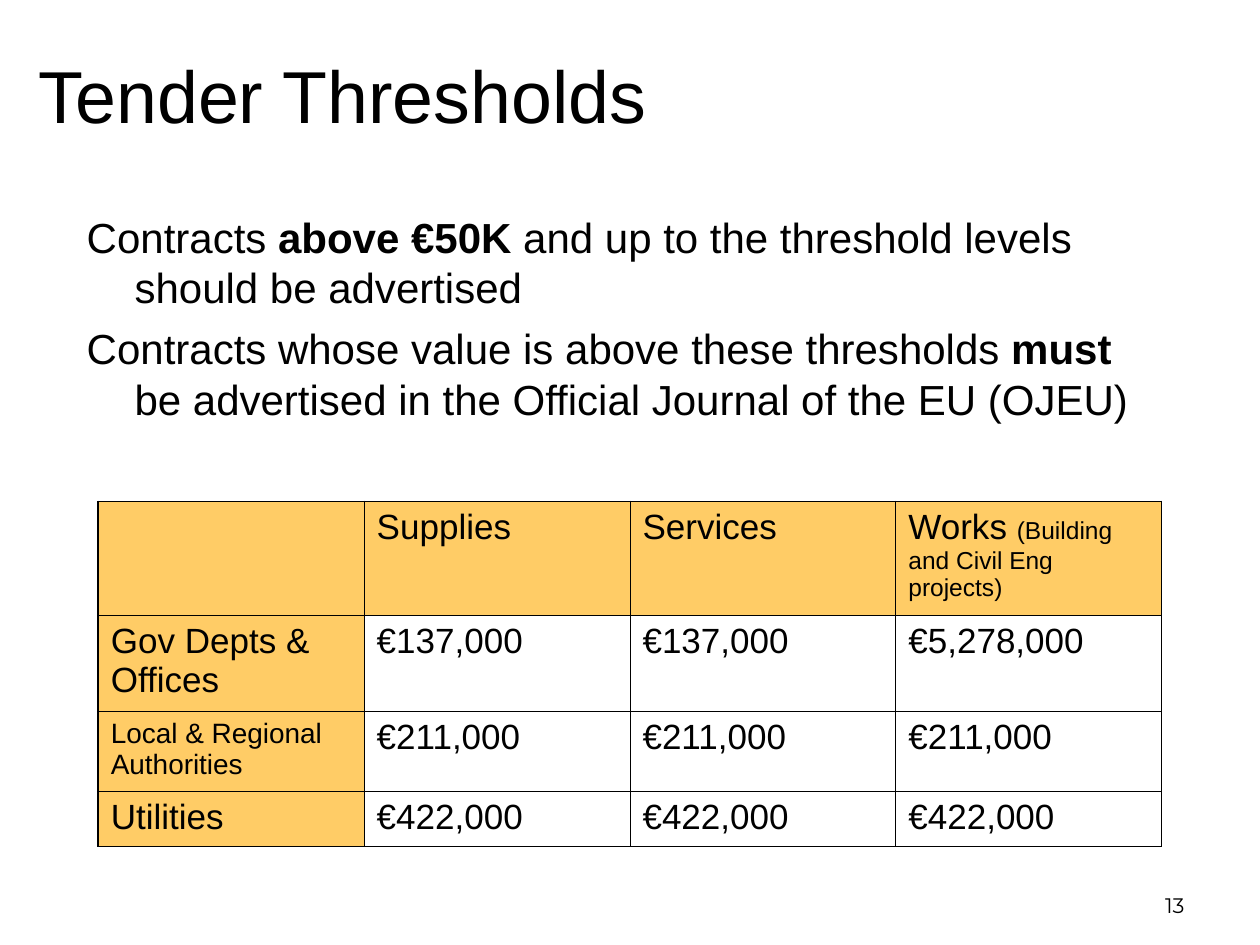
"""Build the tender thresholds slide."""
from dataclasses import dataclass
from typing import Any

from lxml import etree
from pptx import Presentation
from pptx.dml.color import RGBColor
from pptx.enum.text import MSO_ANCHOR, PP_ALIGN
from pptx.oxml.ns import qn
from pptx.util import Emu, Inches, Pt

TOP, MIDDLE, BOTTOM = MSO_ANCHOR.TOP, MSO_ANCHOR.MIDDLE, MSO_ANCHOR.BOTTOM
LEFT, RIGHT = PP_ALIGN.LEFT, PP_ALIGN.RIGHT
COLORS = {"text": "000000", "border": "000000", "header": "FFCC66"}
WIDTH, HEIGHT = Inches(10), Inches(7.5)
OUTER, INNER = Pt(1.08), Pt(0.45)


@dataclass(frozen=True)
class Box:
    """A rectangle in percent of the slide's width and height."""
    left: float
    top: float
    width: float
    height: float

    def emu(self) -> tuple[Emu, ...]:
        """Return the rectangle as slide lengths."""
        shares = ((self.left, WIDTH), (self.top, HEIGHT),
                  (self.width, WIDTH), (self.height, HEIGHT))
        return tuple(Emu(round(share * full / 100)) for share, full in shares)


@dataclass(frozen=True)
class Run:
    """A piece of text with its own size and weight."""
    text: str
    size: float = 20
    bold: bool = False


@dataclass(frozen=True)
class TextBlock:
    """A text box with paragraphs made of runs."""
    box: Box
    paragraphs: list[list[Run]]
    font: str = "Arial"
    anchor: Any = TOP
    align: Any = LEFT
    hanging: float = 0
    gap: float = 0


BLOCKS = [
    TextBlock(Box(2.1, 3.33, 87.7, 13.33), [[Run("Tender Thresholds", 42)]],
              anchor=MIDDLE),
    TextBlock(Box(5.9, 21.73, 86.7, 26.13), [
        [Run("Contracts ", 24), Run("above €50K ", 24, True),
         Run("and up to the threshold levels should be advertised", 24)],
        [Run("Contracts whose value is above these thresholds ", 24),
         Run("must", 24, True),
         Run(" be advertised in the Official Journal of the EU (OJEU)", 24)],
    ], hanging=0.38, gap=6),
    TextBlock(Box(71.7, 91.07, 23.3, 6.67), [[Run("13", 12)]],
              font="Montserrat", anchor=BOTTOM, align=RIGHT),
]
TABLE_BOX = Box(7.8, 53.07, 84.4, 36.4)
ROW_SHARES = [0.33, 0.28, 0.23, 0.16]
ROWS = [
    [[], [Run("Supplies")], [Run("Services")],
     [Run("Works "), Run("(Building and Civil Eng projects)", 14)]],
    [[Run("Gov Depts & Offices")], [Run("€137,000")], [Run("€137,000")],
     [Run("€5,278,000")]],
    [[Run("Local & Regional Authorities", 16)]] + [[Run("€211,000")]] * 3,
    [[Run("Utilities")]] + [[Run("€422,000")]] * 3,
]


def fill_paragraph(p: Any, runs: list[Run], font: str) -> None:
    """Write the runs into a paragraph."""
    p.font.name = font
    p.font.color.rgb = RGBColor.from_string(COLORS["text"])
    for run in runs:
        r = p.add_run()
        r.text = run.text
        r.font.size = Pt(run.size)
        r.font.bold = run.bold


def draw_text(s: Any, block: TextBlock) -> None:
    """Draw one text box."""
    tf = s.shapes.add_textbox(*block.box.emu()).text_frame
    tf.word_wrap = True
    tf.vertical_anchor = block.anchor
    for i, runs in enumerate(block.paragraphs):
        p = tf.add_paragraph() if i else tf.paragraphs[0]
        p.alignment = block.align
        if i:
            p.space_before = Pt(block.gap)
        if block.hanging:
            pPr = p._p.get_or_add_pPr()
            pPr.set("marL", str(Inches(block.hanging)))
            pPr.set("indent", str(-Inches(block.hanging)))
        fill_paragraph(p, runs, block.font)


def set_borders(cell: Any, widths: dict[str, int]) -> None:
    """Give each side of a cell a solid line."""
    tcPr = cell._tc.get_or_add_tcPr()
    for side, width in widths.items():
        ln = etree.SubElement(tcPr, qn(f"a:ln{side}"), w=str(width))
        fill = etree.SubElement(ln, qn("a:solidFill"))
        etree.SubElement(fill, qn("a:srgbClr"), val=COLORS["border"])


def draw_table(s: Any, box: Box, rows: list[list[list[Run]]]) -> None:
    """Draw the thresholds table with a tinted first row and column."""
    last_row, last_col = len(rows) - 1, len(rows[0]) - 1
    left, top, width, height = box.emu()
    table = s.shapes.add_table(len(rows), len(rows[0]), left, top,
                               width, height).table
    table.first_row = table.horz_banding = False
    for i, row in enumerate(rows):
        table.rows[i].height = Emu(round(height * ROW_SHARES[i]))
        for j, runs in enumerate(row):
            cell = table.cell(i, j)
            set_borders(cell, {
                "L": INNER if j else OUTER,
                "R": OUTER if j == last_col else INNER,
                "T": INNER if i else OUTER,
                "B": OUTER if i == last_row else INNER,
            })
            if i and j:
                cell.fill.background()
            else:
                cell.fill.solid()
                cell.fill.fore_color.rgb = RGBColor.from_string(COLORS["header"])
            fill_paragraph(cell.text_frame.paragraphs[0], runs, "Arial")


def main() -> None:
    """Build and save the presentation."""
    prs = Presentation()
    prs.slide_width, prs.slide_height = WIDTH, HEIGHT
    s = prs.slides.add_slide(prs.slide_layouts[6])
    for block in BLOCKS:
        draw_text(s, block)
    draw_table(s, TABLE_BOX, ROWS)
    prs.save("out.pptx")


if __name__ == "__main__":
    main()
